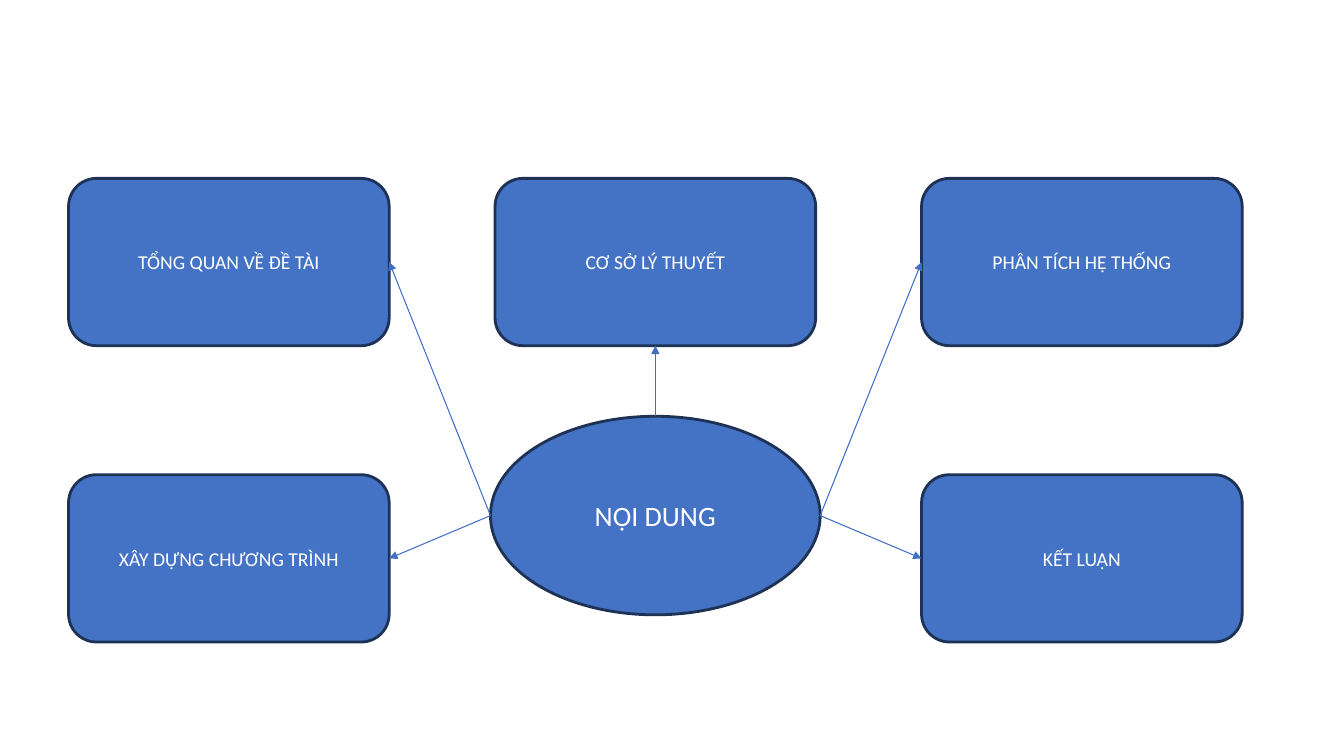
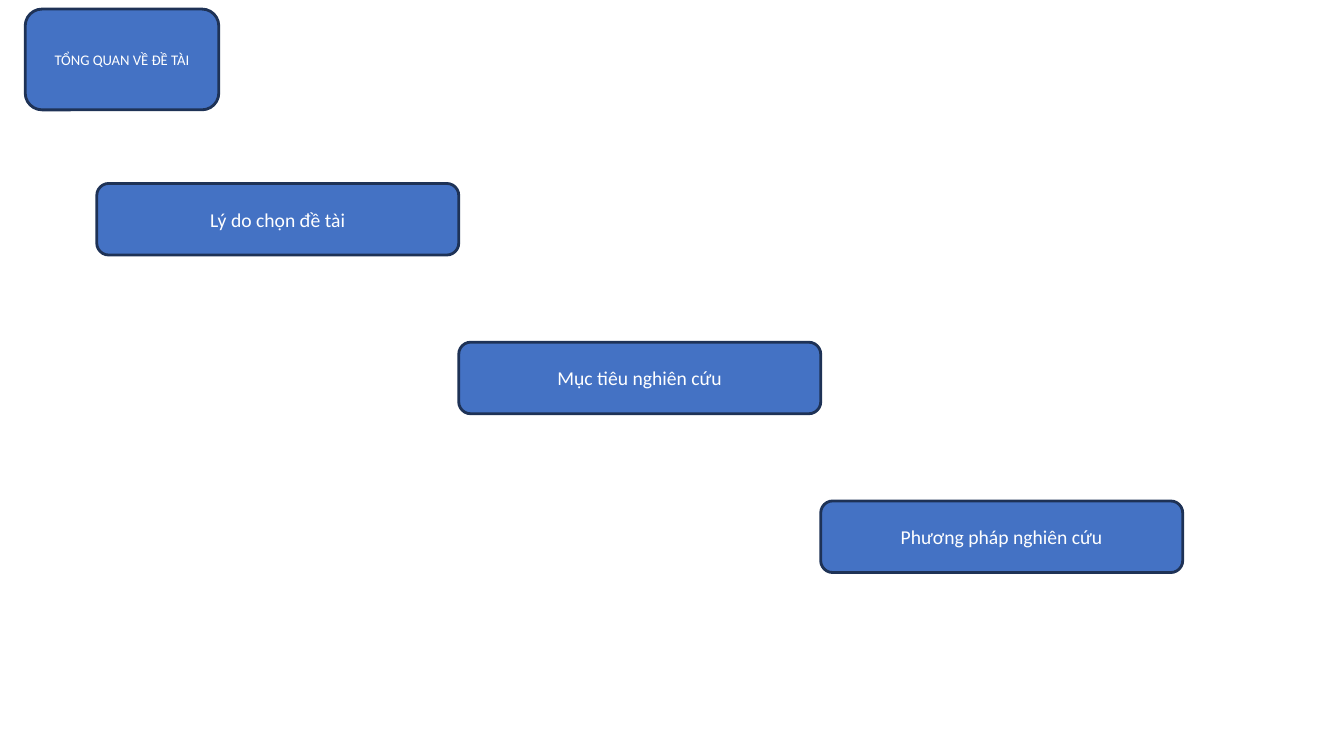
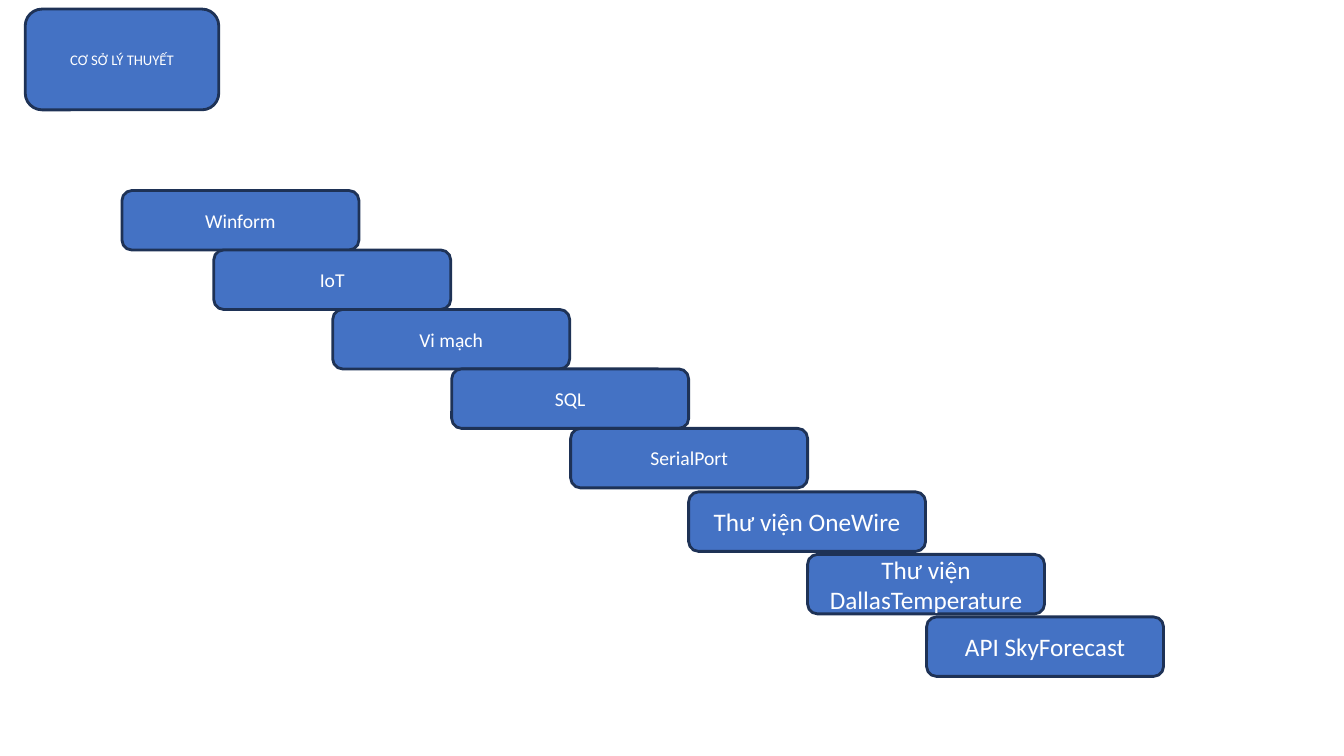
import lxml.etree
import pptx
import pptx.dml.color
import pptx.enum.shapes
import pptx.enum.text
import pptx.oxml.ns
import pptx.util

Inches = pptx.util.Inches
SHAPE = pptx.enum.shapes.MSO_SHAPE
COLORS = {"fill": "4472C4", "border": "1E3256", "arrow": "3F6FC3", "text": "FFFFFF"}
FONT = "Calibri"
OVERVIEW, THEORY = "TỔNG QUAN VỀ ĐỀ TÀI", "CƠ SỞ LÝ THUYẾT"
TOP, LEFT, BOTTOM, RIGHT = range(4)  # connection sites of a rounded box


def color(name):
    return pptx.dml.color.RGBColor.from_string(COLORS[name])


def add_node(slide, box, label, size=14, preset=SHAPE.ROUNDED_RECTANGLE):
    """Bordered blue shape with a centred label; box is left, top, width, height."""
    node = slide.shapes.add_shape(preset, *(Inches(length) for length in box))
    node.shadow.inherit = False
    node.fill.solid()
    node.fill.fore_color.rgb = color("fill")
    node.line.color.rgb = color("border")
    node.line.width = pptx.util.Pt(2)
    node.text_frame.word_wrap = True
    node.text_frame.vertical_anchor = pptx.enum.text.MSO_ANCHOR.MIDDLE
    paragraph = node.text_frame.paragraphs[0]
    paragraph.text = label
    paragraph.alignment = pptx.enum.text.PP_ALIGN.CENTER
    paragraph.font.name = FONT
    paragraph.font.size = pptx.util.Pt(size)
    paragraph.font.color.rgb = color("text")
    return node


def add_arrow(slide, start, topic, site):
    """Arrow from a point to one connection site of a topic box."""
    arrow = slide.shapes.add_connector(
        pptx.enum.shapes.MSO_CONNECTOR.STRAIGHT, *start, *start)
    arrow.end_connect(topic, site)
    arrow.line.color.rgb = color("arrow")
    arrow.line.width = pptx.util.Pt(0.75)
    qn = pptx.oxml.ns.qn
    lxml.etree.SubElement(arrow.line._get_or_add_ln(), qn("a:tailEnd"), type="triangle")
    lxml.etree.SubElement(arrow._element.spPr, qn("a:effectLst"))


def add_section_tag(slide, label):
    add_node(slide, (0.25, 0.09, 1.92, 1), label, 10.5)


def add_stairs(slide, first_box, step, labels, size=14):
    """Equal boxes descending to the right from first_box."""
    left, top, width, height = first_box
    for index, label in enumerate(labels):
        box = (left + index * step[0], top + index * step[1], width, height)
        add_node(slide, box, label, size)


def add_contents_map(slide, box):
    """Central ellipse with arrows to the topics around it."""
    left, top, width, height = box
    topic_width, topic_height = 3.18, 1.66
    column_step = (width - topic_width) / 2
    row_step = height - topic_height

    # Hub
    hub_width, hub_height = 3.27, 1.97
    hub = add_node(slide, (left + (width - hub_width) / 2, top + 2.36, hub_width, hub_height),
                   "NỘI DUNG", 20, SHAPE.OVAL)
    middle = hub.top + hub.height // 2
    west = (hub.left, middle)
    north = (hub.left + hub.width // 2, hub.top)
    east = (hub.left + hub.width, middle)

    # Topics: column, row, label, arrow start, arrow end
    topics = [
        (0, 0, OVERVIEW, west, RIGHT),
        (1, 0, THEORY, north, BOTTOM),
        (2, 0, "PHÂN TÍCH HỆ THỐNG", east, LEFT),
        (0, 1, "XÂY DỰNG CHƯƠNG TRÌNH", west, RIGHT),
        (2, 1, "KẾT LUẬN", east, LEFT),
    ]
    for column, row, label, start, site in topics:
        topic = add_node(slide, (left + column * column_step, top + row * row_step,
                                 topic_width, topic_height), label)
        add_arrow(slide, start, topic, site)


def main():
    deck = pptx.Presentation()
    deck.slide_width, deck.slide_height = Inches(13.33), Inches(7.5)
    contents, overview, theory = (
        deck.slides.add_slide(deck.slide_layouts[6]) for _ in range(3))

    # Contents
    add_contents_map(contents, (0.68, 1.77, 11.64, 4.6))

    # Overview
    add_section_tag(overview, OVERVIEW)
    add_stairs(overview, (0.96, 1.82, 3.59, 0.71), (3.59, 1.575),
               ["Lý do chọn đề tài", "Mục tiêu nghiên cứu", "Phương pháp nghiên cứu"])

    # Theory: platform, techniques, then libraries in larger text
    add_section_tag(theory, THEORY)
    step_size = (2.35, 0.59)
    add_node(theory, (1.21, 1.89, *step_size), "Winform")
    add_stairs(theory, (2.12, 2.48, *step_size), (1.18, 0.59),
               ["IoT", "Vi mạch", "SQL", "SerialPort"])
    add_stairs(theory, (6.83, 4.88, *step_size), (1.18, 0.62),
               ["Thư viện OneWire", "Thư viện DallasTemperature", "API SkyForecast"], 18)

    deck.save("out.pptx")


if __name__ == "__main__":
    main()
